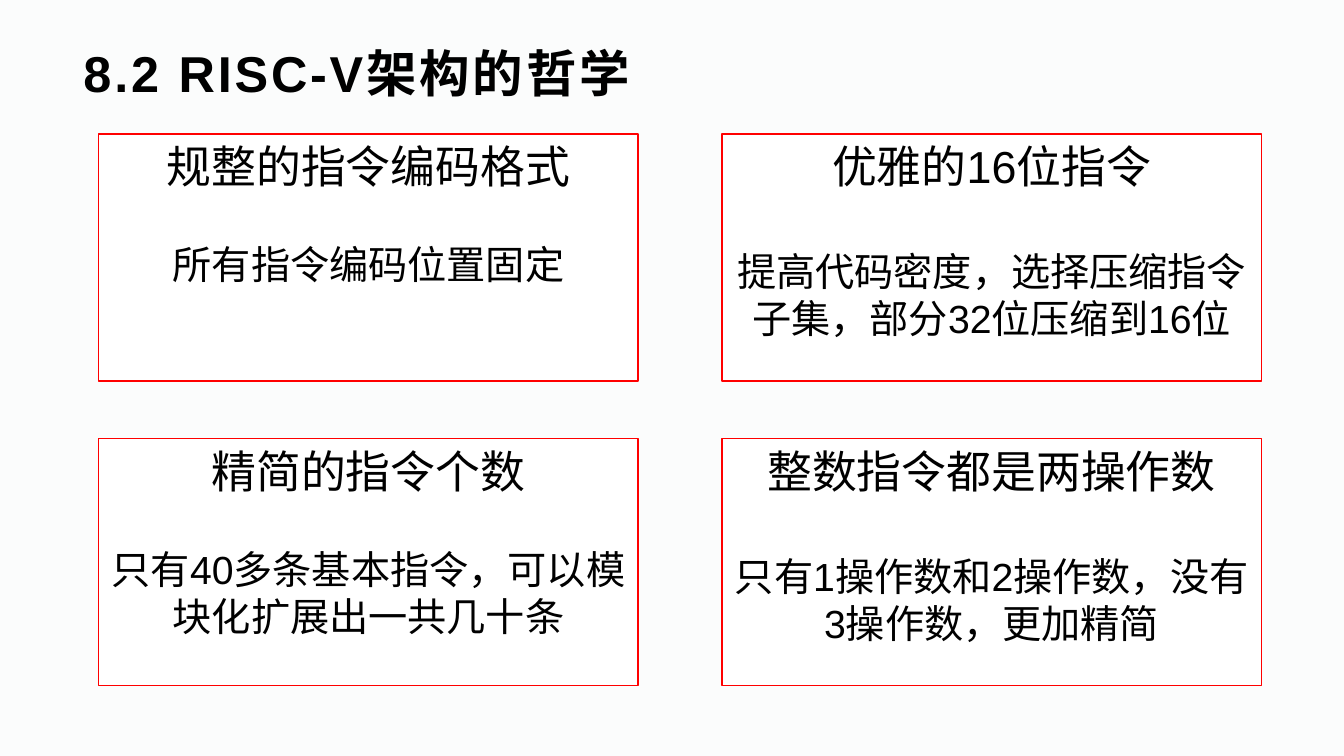
from dataclasses import dataclass

from pptx import Presentation
from pptx.dml.color import RGBColor
from pptx.enum.shapes import MSO_SHAPE
from pptx.enum.text import MSO_ANCHOR, PP_ALIGN
from pptx.util import Inches, Pt


@dataclass(frozen=True)
class Theme:
    font: str = "Arial"
    background: RGBColor = RGBColor(0xFB, 0xFC, 0xFC)
    card: RGBColor = RGBColor(0xFF, 0xFF, 0xFF)
    border: RGBColor = RGBColor(0xFF, 0x00, 0x00)
    text: RGBColor = RGBColor(0x00, 0x00, 0x00)
    border_width: float = 1
    title_size: float = 36
    heading_size: float = 32
    body_size: float = 28
    title_spacing: float = 2


THEME = Theme()
SLIDE_WIDTH, SLIDE_HEIGHT = 13.33, 7.5
TITLE_BOX = (0.73, 0.48, 11.87, 0.48)
GRID_BOX = (0.98, 1.33, 11.53, 5.47)
COLUMNS, ROWS = 2, 2
COLUMN_GAP, ROW_GAP = 0.83, 0.57

TITLE = "8.2 RISC-V架构的哲学"
# Heading, body, and the space between them in points
PRINCIPLES = [
    ("规整的指令编码格式", "所有指令编码位置固定", 34),
    ("优雅的16位指令", "提高代码密度，选择压缩指令子集，部分32位压缩到16位", 39),
    ("精简的指令个数", "只有40多条基本指令，可以模块化扩展出一共几十条", 34),
    ("整数指令都是两操作数", "只有1操作数和2操作数，没有3操作数，更加精简", 39),
]


def set_attributes(target, values):
    for name, value in values.items():
        setattr(target, name, value)


def write_paragraph(paragraph, text, size, bold=False):
    run = paragraph.add_run()
    run.text = text
    set_attributes(run.font, {"name": THEME.font, "size": Pt(size), "bold": bold})
    run.font.color.rgb = THEME.text
    return run


def add_title(slide, box):
    frame = slide.shapes.add_textbox(*map(Inches, box)).text_frame
    set_attributes(frame, {"word_wrap": True, "vertical_anchor": MSO_ANCHOR.MIDDLE})
    run = write_paragraph(frame.paragraphs[0], TITLE, THEME.title_size, bold=True)
    run.font._element.set("spc", str(round(THEME.title_spacing * 100)))


def add_card(slide, box, heading, body, gap):
    card = slide.shapes.add_shape(MSO_SHAPE.RECTANGLE, *map(Inches, box))
    card.shadow.inherit = False
    card.fill.solid()
    card.fill.fore_color.rgb = THEME.card
    card.line.color.rgb = THEME.border
    card.line.width = Pt(THEME.border_width)

    frame = card.text_frame
    set_attributes(frame, {"word_wrap": True, "vertical_anchor": MSO_ANCHOR.TOP})
    heading_paragraph, body_paragraph = frame.paragraphs[0], frame.add_paragraph()
    write_paragraph(heading_paragraph, heading, THEME.heading_size)
    write_paragraph(body_paragraph, body, THEME.body_size)
    body_paragraph.space_before = Pt(gap)
    for paragraph in frame.paragraphs:
        paragraph.alignment = PP_ALIGN.CENTER


def add_card_grid(slide, box):
    left, top, width, height = box
    card_width = (width - (COLUMNS - 1) * COLUMN_GAP) / COLUMNS
    card_height = (height - (ROWS - 1) * ROW_GAP) / ROWS
    for index, principle in enumerate(PRINCIPLES):
        row, column = divmod(index, COLUMNS)
        card_left = left + column * (card_width + COLUMN_GAP)
        card_top = top + row * (card_height + ROW_GAP)
        add_card(slide, (card_left, card_top, card_width, card_height), *principle)


def main():
    presentation = Presentation()
    presentation.slide_width = Inches(SLIDE_WIDTH)
    presentation.slide_height = Inches(SLIDE_HEIGHT)
    slide = presentation.slides.add_slide(presentation.slide_layouts[6])
    slide.background.fill.solid()
    slide.background.fill.fore_color.rgb = THEME.background
    add_title(slide, TITLE_BOX)
    add_card_grid(slide, GRID_BOX)
    presentation.save("out.pptx")


if __name__ == "__main__":
    main()
